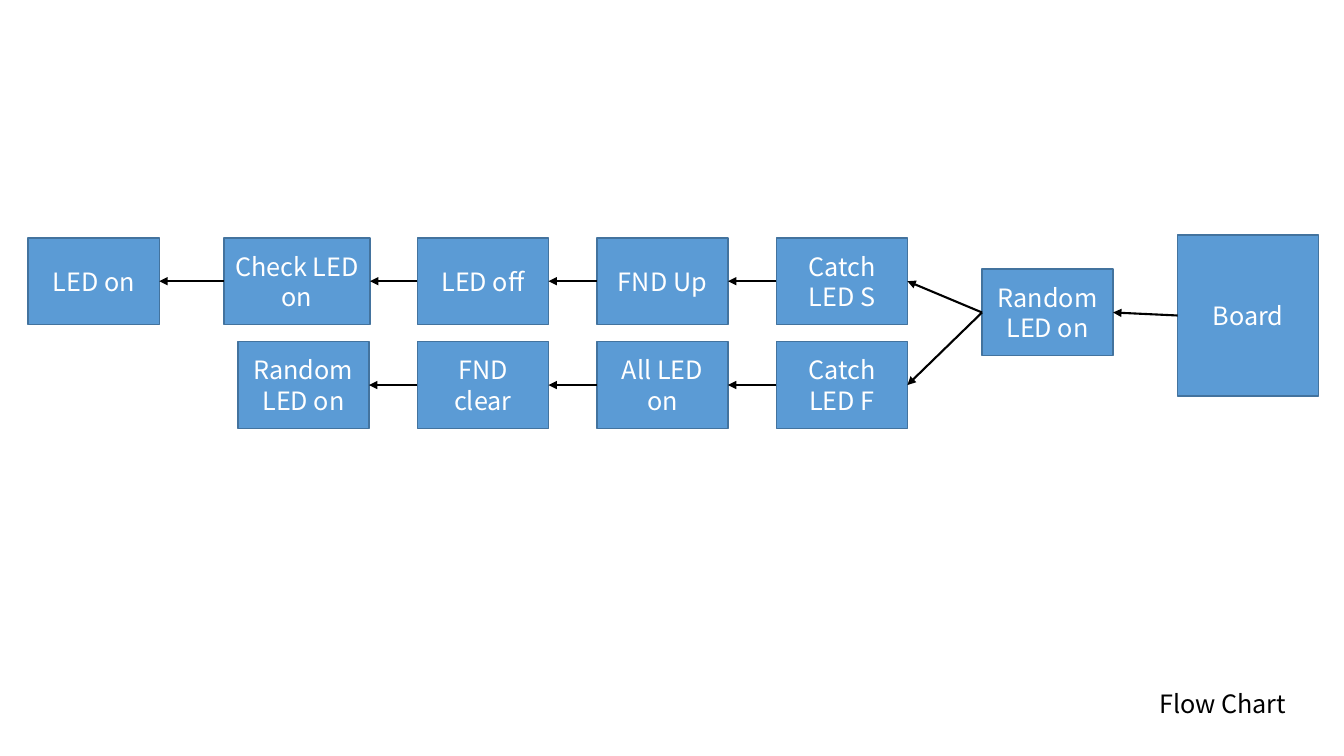
import pptx
import pptx.util
import pptx.dml.color
import pptx.enum.shapes
import pptx.enum.text
import pptx.oxml
import pptx.oxml.ns
from pptx.util import Inches

BLUE = pptx.dml.color.RGBColor(0x5B, 0x9B, 0xD5)
DARK_BLUE = pptx.dml.color.RGBColor(0x43, 0x73, 0x9E)
WHITE = pptx.dml.color.RGBColor(0xFF, 0xFF, 0xFF)
BLACK = pptx.dml.color.RGBColor(0, 0, 0)
FONT = "Noto Sans CJK KR"
LEFT_SIDE, RIGHT_SIDE = 1, 3
STEP_WIDTH, STEP_HEIGHT, STEP_PITCH = 1.3, 0.86, 1.78
ROW_PITCH = 1.03


def write_text(shape, lines, color, alignment):
    frame = shape.text_frame
    frame.word_wrap = True
    for index, line in enumerate(lines):
        paragraph = frame.add_paragraph() if index else frame.paragraphs[0]
        paragraph.alignment = alignment
        paragraph.line_spacing = pptx.util.Pt(21.5)
        run = paragraph.add_run()
        run.text = line
        run.font.name = FONT
        run.font.size = pptx.util.Pt(18)
        run.font.color.rgb = color
        east_asian = pptx.oxml.parse_xml(
            f'<a:ea {pptx.oxml.ns.nsdecls("a")} typeface="{FONT}"/>')
        run.font._element.append(east_asian)


def add_step(slide, lines, left, top, width=STEP_WIDTH, height=STEP_HEIGHT):
    step = slide.shapes.add_shape(
        pptx.enum.shapes.MSO_SHAPE.RECTANGLE,
        Inches(left), Inches(top), Inches(width), Inches(height))
    step.shadow.inherit = False
    step.fill.solid()
    step.fill.fore_color.rgb = BLUE
    step.line.color.rgb = DARK_BLUE
    step.line.width = pptx.util.Pt(1)
    step.text_frame.vertical_anchor = pptx.enum.text.MSO_ANCHOR.MIDDLE
    write_text(step, lines, WHITE, pptx.enum.text.PP_ALIGN.CENTER)
    return step


def add_arrow(slide, source, target):
    arrow = slide.shapes.add_connector(
        pptx.enum.shapes.MSO_CONNECTOR.STRAIGHT, 0, 0, 0, 0)
    arrow.begin_connect(source, LEFT_SIDE)
    arrow.end_connect(target, RIGHT_SIDE)
    arrow.line.color.rgb = BLACK
    arrow.line.width = pptx.util.Pt(1.5)
    namespace = pptx.oxml.ns.nsdecls("a")
    arrow.line._get_or_add_ln().append(
        pptx.oxml.parse_xml(f'<a:tailEnd {namespace} type="triangle"/>'))
    arrow._element.spPr.append(pptx.oxml.parse_xml(f'<a:effectLst {namespace}/>'))


def add_flow(slide, left, top):
    success_top = top + 0.03
    failure_top = success_top + ROW_PITCH
    columns = [left + 2.08 + STEP_PITCH * index for index in range(4)]

    board = add_step(slide, ["Board"], left + 11.4, top, 1.4, 1.6)
    random_led = add_step(slide, ["Random", "LED on"], left + 9.46, top + 0.34)
    led_on = add_step(slide, ["LED on"], left, success_top)
    check_led = add_step(slide, ["Check LED on"], left + 1.94, success_top, 1.45)
    success = [led_on, check_led] + [
        add_step(slide, [label], column, success_top)
        for label, column in zip(["LED off", "FND Up", "Catch LED S"], columns[1:])]
    failure_labels = [["Random", "LED on"], ["FND clear"], ["All LED on"], ["Catch LED F"]]
    failure = [add_step(slide, lines, column, failure_top)
               for lines, column in zip(failure_labels, columns)]

    add_arrow(slide, board, random_led)
    for branch in (success, failure):
        for target, source in zip(branch, branch[1:] + [random_led]):
            add_arrow(slide, source, target)


def add_caption(slide, left, top, width, height):
    caption = slide.shapes.add_textbox(
        Inches(left), Inches(top), Inches(width), Inches(height))
    write_text(caption, ["Flow Chart"], BLACK, pptx.enum.text.PP_ALIGN.LEFT)


presentation = pptx.Presentation()
presentation.slide_width = Inches(13.33)
presentation.slide_height = Inches(7.5)
slide = presentation.slides.add_slide(presentation.slide_layouts[6])
add_flow(slide, 0.28, 2.33)
add_caption(slide, 11.4, 6.78, 1.68, 0.4)
presentation.save("out.pptx")
